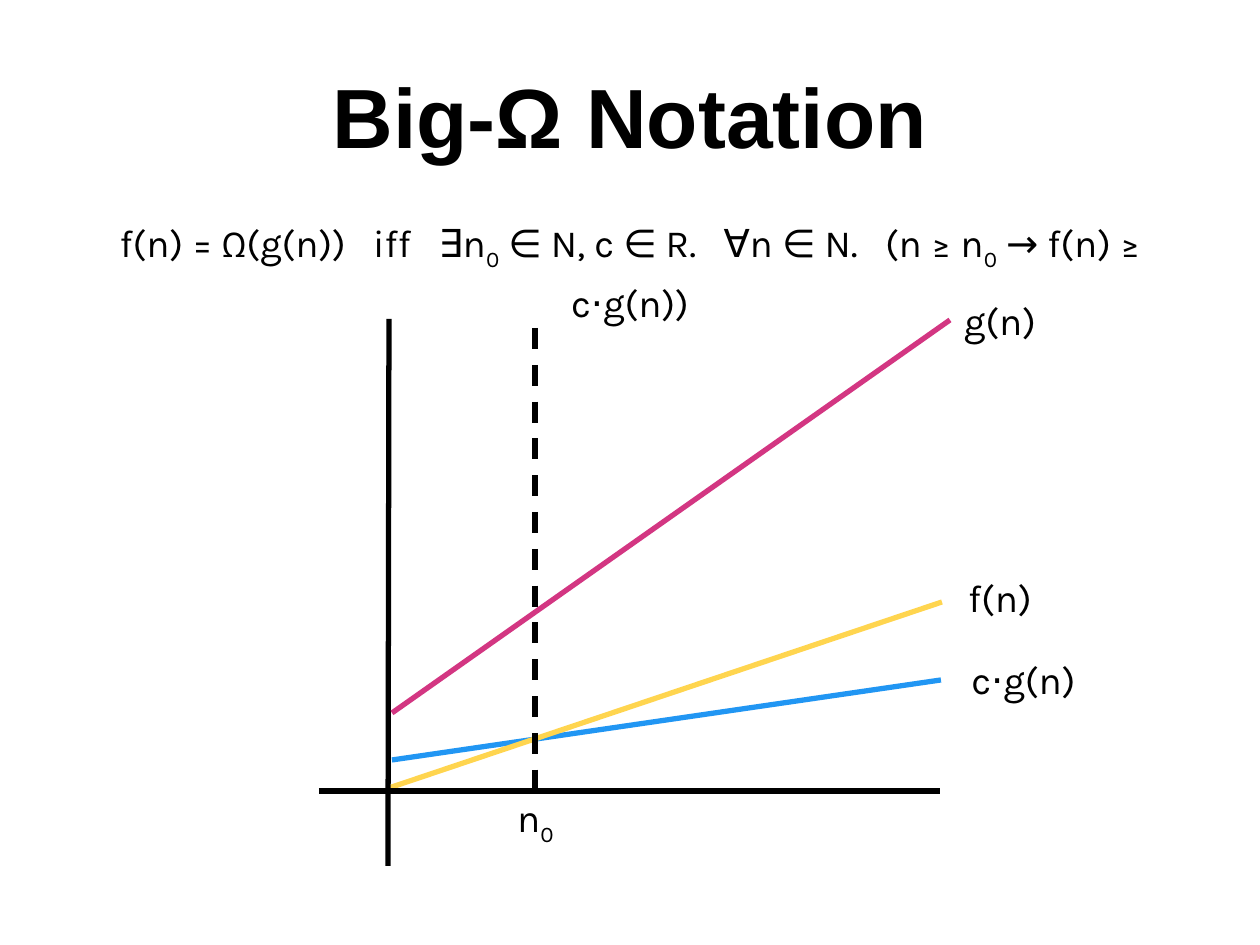
from pptx import Presentation
from pptx.dml.color import RGBColor as Rgb
from pptx.enum.dml import MSO_LINE as Dash
from pptx.enum.shapes import MSO_CONNECTOR as Conn
from pptx.enum.text import MSO_ANCHOR as Anchor, PP_ALIGN as Align
from pptx.oxml.ns import qn
from pptx.util import Inches, Pt
from lxml import etree

PX = Inches(1) // 126
BLACK = Rgb(0x00, 0x00, 0x00)
BLUE = Rgb(0x21, 0x96, 0xF3)
GOLD = Rgb(0xFF, 0xD5, 0x4F)
PINK = Rgb(0xD3, 0x36, 0x82)

deck = Presentation()
deck.slide_width, deck.slide_height = Inches(10), Inches(7.5)
slide = deck.slides.add_slide(deck.slide_layouts[6])


def add_text(box, parts, font="Karla", size=22, bold=False, anchor=Anchor.MIDDLE):
    shape = slide.shapes.add_textbox(*[n * PX for n in box])
    frame = shape.text_frame
    frame.word_wrap = True
    frame.vertical_anchor = anchor
    frame.margin_left = frame.margin_right = Inches(0.1)
    frame.margin_top = frame.margin_bottom = Inches(0.1)
    para = frame.paragraphs[0]
    para.alignment = Align.CENTER
    for i, part in enumerate(parts):
        run = para.add_run()
        run.text = part
        run.font.name = font
        run.font.size = Pt(size)
        run.font.bold = bold
        run.font.color.rgb = BLACK
        if i % 2:
            run.font._element.set("baseline", "-25000")
    return para


def add_line(ends, color):
    line = slide.shapes.add_connector(Conn.STRAIGHT, *[n * PX for n in ends])
    line.line.color.rgb = color
    line.line.width = Pt(3)
    etree.SubElement(line._element.spPr, qn("a:effectLst"))
    return line


add_line((392, 760, 941, 680), BLUE)
add_line((389, 788, 942, 602), GOLD)

rule = add_text((84, 199, 1092, 746),
                ["f(n) = Ω(g(n))   iff   ∃n", "0", " ∈ N, c ∈ R.   ∀n ∈ N.   (n ≥ n",
                 "0", " → f(n) ≥ c⋅g(n))"], anchor=Anchor.TOP)
rule.line_spacing = 1.15
title = add_text((0, 42, 1260, 158), ["Big-Ω Notation"], "Arial", 48, True, Anchor.TOP)
title.line_spacing = 1.1

add_line((389, 319, 388, 866), BLACK)
add_line((319, 791, 940, 791), BLACK)
add_line((392, 713, 950, 320), PINK)
add_line((535, 328, 535, 801), BLACK).line.dash_style = Dash.DASH

for box, parts in [
    ((955, 640, 137, 79), ["c⋅g(n)"]),
    ((950, 552, 100, 91), ["f(n)"]),
    ((950, 275, 100, 91), ["g(n)"]),
    ((478, 791, 115, 59), ["n", "0"]),
]:
    add_text(box, parts)

deck.save("out.pptx")
